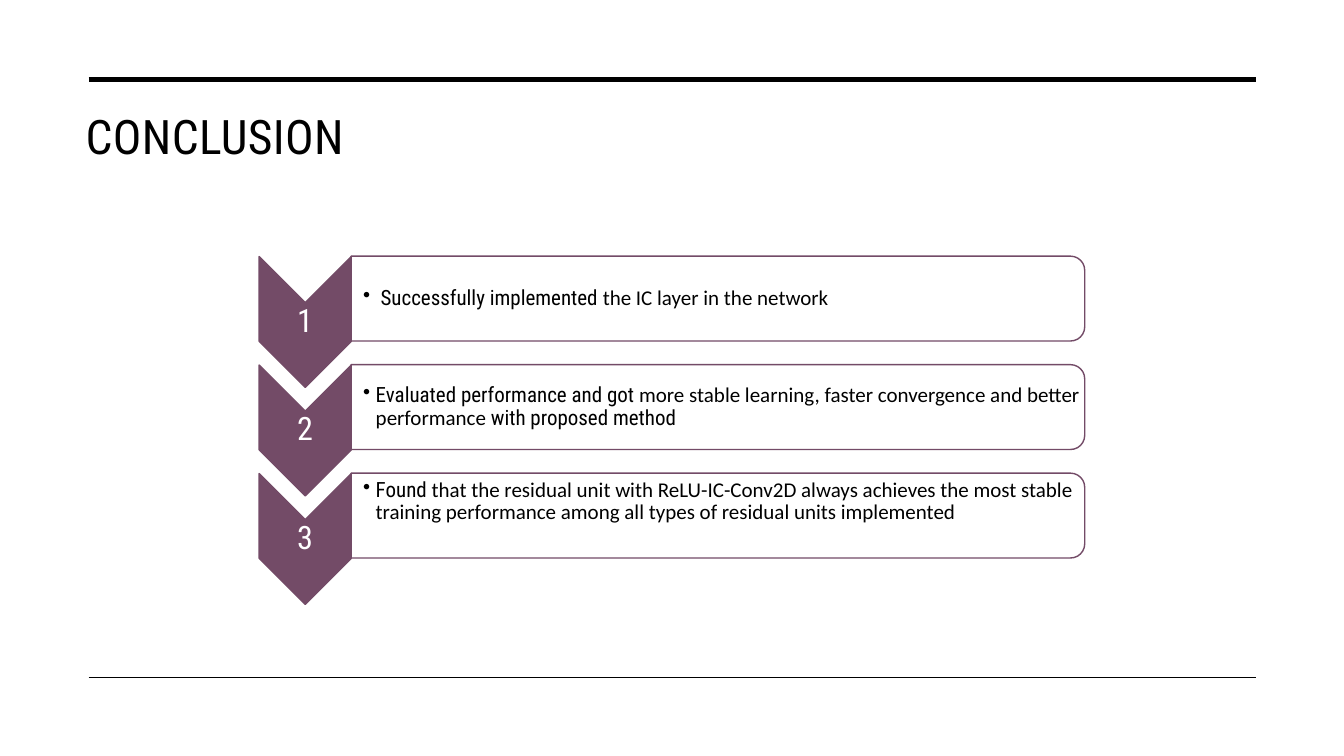
from lxml.etree import SubElement
from pptx import Presentation
from pptx.dml.color import RGBColor
from pptx.enum.shapes import MSO_CONNECTOR, MSO_SHAPE
from pptx.enum.text import MSO_ANCHOR, MSO_AUTO_SIZE, PP_ALIGN
from pptx.oxml.ns import qn
from pptx.util import Pt

HEAD, BODY = "Roboto Condensed", "Calibri"
COLORS = {"ink": "000000", "plum": "734B67", "white": "FFFFFF"}
TITLE = "CONCLUSION"
POINTS = [
    [(" Successfully implemented ", HEAD), ("the IC layer in the network", BODY)],
    [("Evaluated performance and got", HEAD),
     (" more stable learning, faster convergence and better performance", BODY),
     (" with proposed method", HEAD)],
    [("Found", HEAD),
     (" that the residual unit with ReLU-IC-Conv2D always achieves the most stable "
      "training performance among all types of residual units implemented", BODY)],
]
BOTTOM_INSETS = [0.7, 0.7, 20.7]
RULES = [(56.9, 3.5), (483.8, 1)]
RULE_LEFT, RULE_RIGHT = 63.4, 897.1
PITCH = 77.5
CHEVRON = {"cx": 218, "cy": 230, "w": 93.5, "h": 65.8}
PANEL = {"cx": 512.8, "cy": 213.3, "w": 60.6, "h": 524}
NUMBER_BOX = (185, 216, 65.8, 28)
POINT_BOX = (250.8, 186, 521.3, 54.7)


def color(name):
    return RGBColor.from_string(COLORS[name])


def add_rule(y, weight):
    line = slide.shapes.add_connector(
        MSO_CONNECTOR.STRAIGHT, Pt(RULE_LEFT), Pt(y), Pt(RULE_RIGHT), Pt(y))
    line.line.color.rgb = color("ink")
    line.line.width = Pt(weight)
    SubElement(line._element.spPr, qn("a:effectLst"))


def add_turned(kind, place, dy, fill):
    w, h = place["w"], place["h"]
    sp = slide.shapes.add_shape(
        kind, Pt(place["cx"] - w / 2), Pt(place["cy"] + dy - h / 2), Pt(w), Pt(h))
    sp.rotation = 90
    sp.shadow.inherit = False
    sp.fill.solid()
    sp.fill.fore_color.rgb = color(fill)
    sp.line.color.rgb = color("plum")
    sp.line.width = Pt(1)
    return sp


def set_frame(tf, insets, anchor):
    left, top, right, bottom = map(Pt, insets)
    values = {"margin_left": left, "margin_top": top, "margin_right": right,
              "margin_bottom": bottom, "vertical_anchor": anchor,
              "word_wrap": True, "auto_size": MSO_AUTO_SIZE.NONE}
    for name, value in values.items():
        setattr(tf, name, value)


def add_text(box, dy, insets):
    x, y, w, h = box
    tf = slide.shapes.add_textbox(Pt(x), Pt(y + dy), Pt(w), Pt(h)).text_frame
    set_frame(tf, insets, MSO_ANCHOR.MIDDLE)
    p = tf.paragraphs[0]
    p.line_spacing = 0.9
    return p


def add_run(p, text, font, size, ink):
    r = p.add_run()
    r.text = text
    for name, value in {"name": font, "size": Pt(size), "bold": False}.items():
        setattr(r.font, name, value)
    r.font.color.rgb = color(ink)
    return r


def add_bullet(p):
    pPr = p._p.get_or_add_pPr()
    pPr.set("marL", str(Pt(9)))
    pPr.set("indent", str(-Pt(9)))
    SubElement(pPr, qn("a:buChar"), char="•")


prs = Presentation()
prs.slide_width, prs.slide_height = Pt(960), Pt(540)
slide = prs.slides.add_slide(prs.slide_layouts[5])

for y, weight in RULES:
    add_rule(y, weight)

title = slide.shapes.title
title.left, title.top, title.width, title.height = Pt(54), Pt(70.6), Pt(379.5), Pt(59.8)
set_frame(title.text_frame, (7.2, 6, 7.2, 3.6), MSO_ANCHOR.TOP)
p = title.text_frame.paragraphs[0]
p.alignment = PP_ALIGN.LEFT
add_run(p, TITLE, HEAD, 34, "ink").font._element.set("spc", "30")

for i, (runs, bottom) in enumerate(zip(POINTS, BOTTOM_INSETS)):
    dy = i * PITCH
    add_turned(MSO_SHAPE.CHEVRON, CHEVRON, dy, "plum")
    p = add_text(NUMBER_BOX, dy, (1.4, 1.4, 1.4, 1.4))
    p.alignment = PP_ALIGN.CENTER
    add_run(p, str(i + 1), HEAD, 23, "white")

    panel = add_turned(MSO_SHAPE.ROUND_2_SAME_RECTANGLE, PANEL, dy, "white")
    fill = panel._element.spPr.find(qn("a:solidFill"))
    SubElement(fill[0], qn("a:alpha"), val="90000")
    p = add_text(POINT_BOX, dy, (8.6, 0.7, 0.7, bottom))
    add_bullet(p)
    for text, font in runs:
        add_run(p, text, font, 15, "ink")

prs.save("out.pptx")
